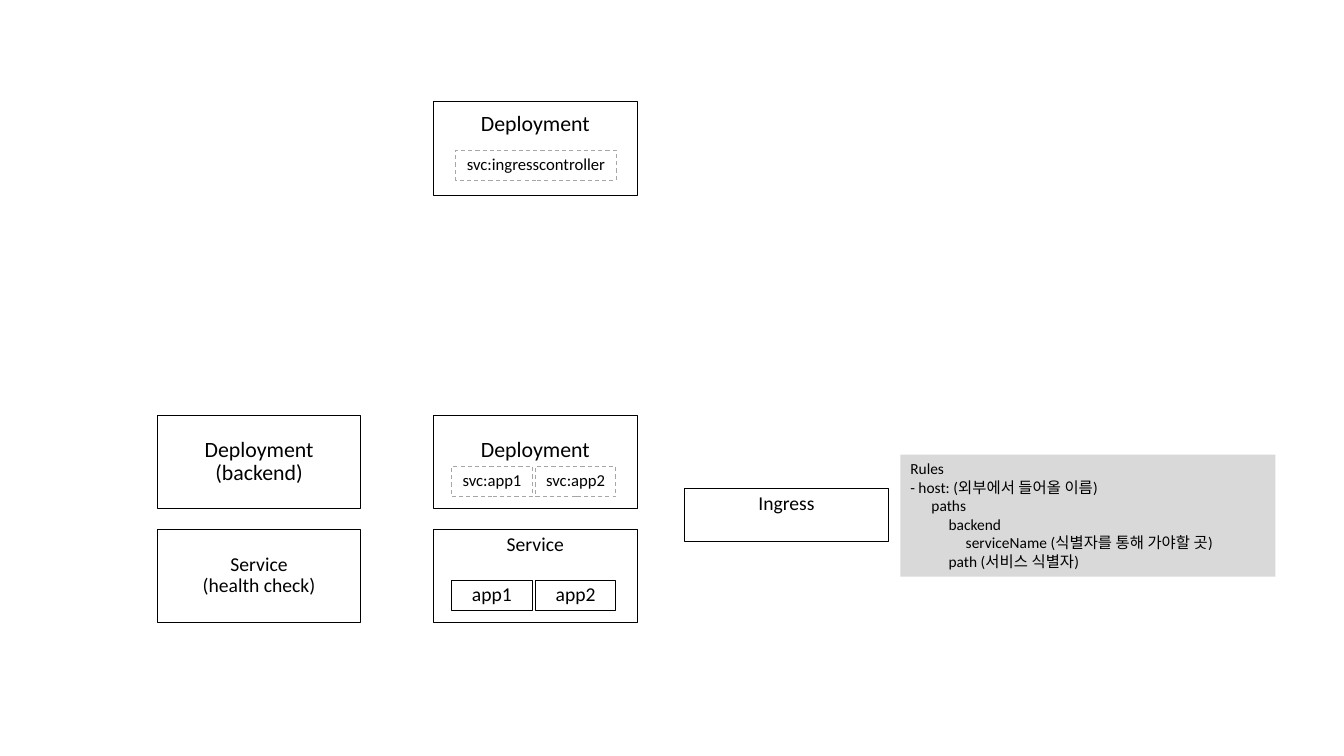
from pptx import Presentation
from pptx import util as u
from pptx.dml.color import RGBColor
from pptx.enum import dml, shapes, text

THEME = {
    "font": "Calibri",
    "ink": RGBColor(0x00, 0x00, 0x00),
    "dashed": RGBColor(0xA6, 0xA6, 0xA6),
    "panel": RGBColor(0xD9, 0xD9, 0xD9),
    "deployment": 15.6,
    "service": 14,
    "label": 11.9,
    "rules": 11,
}
TOP, MIDDLE = text.MSO_ANCHOR.TOP, text.MSO_ANCHOR.MIDDLE

# Grid in inches: columns from the left, rows from the top
BACKEND, APPS, INGRESS, RULES = 1.56, 4.3, 6.79, 8.93
CONTROLLER_ROW, DEPLOYMENT_ROW, SERVICE_ROW = 1.01, 4.12, 5.25
BOX_WIDTH, BOX_HEIGHT = 2.02, 0.93
APP_LEFT, APP_PITCH, APP_WIDTH, APP_HEIGHT = APPS + 0.18, 0.83, 0.8, 0.3

presentation = Presentation()
presentation.slide_width = u.Inches(13.33)
presentation.slide_height = u.Inches(7.5)
slide = presentation.slides.add_slide(presentation.slide_layouts[6])


def add_box(place, wording, size, anchor=MIDDLE, spacing=0.9, bottom=0.05, side=0.1):
    """Add a plain rectangle with centred text."""
    shape = slide.shapes.add_shape(
        shapes.MSO_SHAPE.RECTANGLE, *[u.Inches(length) for length in place])
    shape.shadow.inherit = False
    shape.fill.background()
    shape.line.color.rgb = THEME["ink"]
    shape.line.width = u.Pt(0.75)
    frame = shape.text_frame
    frame.word_wrap = True
    frame.vertical_anchor = anchor
    frame.margin_bottom = u.Inches(bottom)
    frame.margin_left = frame.margin_right = u.Inches(side)
    frame.text = wording
    for paragraph in frame.paragraphs:
        paragraph.alignment = text.PP_ALIGN.CENTER
        paragraph.line_spacing = spacing
        for run in paragraph.runs:
            run.font.name = THEME["font"]
            run.font.size = u.Pt(THEME[size])
            run.font.color.rgb = THEME["ink"]
    return shape


def add_label(left, top, width, wording):
    """Add a dashed service label."""
    shape = add_box((left, top, width, APP_HEIGHT), wording, "label",
                    spacing=0.8, side=0.05)
    shape.line.color.rgb = THEME["dashed"]
    shape.line.dash_style = dml.MSO_LINE.DASH


# Deployments and services; a deeper bottom margin leaves room for labels
for left, top, wording, size, anchor, bottom in [
    (BACKEND, SERVICE_ROW, "Service\v(health check)", "service", MIDDLE, 0.05),
    (BACKEND, DEPLOYMENT_ROW, "Deployment\n(backend)", "deployment", MIDDLE, 0.05),
    (APPS, SERVICE_ROW, "Service", "service", TOP, 0.05),
    (APPS, DEPLOYMENT_ROW, "Deployment", "deployment", MIDDLE, 0.28),
    (APPS, CONTROLLER_ROW, "Deployment", "deployment", MIDDLE, 0.53),
]:
    add_box((left, top, BOX_WIDTH, BOX_HEIGHT), wording, size, anchor, bottom=bottom)

# Apps inside the deployment and the service
for index, app in enumerate(["app1", "app2"]):
    left = APP_LEFT + index * APP_PITCH
    add_label(left, DEPLOYMENT_ROW + 0.51, APP_WIDTH, f"svc:{app}")
    add_box((left, SERVICE_ROW + 0.51, APP_WIDTH, APP_HEIGHT), app, "service",
            spacing=0.8)

# Ingress controller label
add_label(APPS + 0.22, CONTROLLER_ROW + 0.48, 1.59, "svc:ingresscontroller")

# Ingress
add_box((INGRESS, 4.85, BOX_WIDTH, 0.52), "Ingress", "service", TOP)

# Ingress rules, indented by level
rules = [
    ("Rules", 0),
    ("- host: (외부에서 들어올 이름)", 0),
    ("paths", 0.21),
    ("backend", 0.38),
    ("serviceName (식별자를 통해 가야할 곳)", 0.55),
    ("path (서비스 식별자)", 0.38),
]
panel = add_box((RULES, 4.51, 3.72, 1.21), "\n".join(line for line, _ in rules),
                "rules", TOP, spacing=1.0)
panel.fill.solid()
panel.fill.fore_color.rgb = THEME["panel"]
panel.line.fill.background()
for paragraph, (_, indent) in zip(panel.text_frame.paragraphs, rules):
    paragraph.alignment = text.PP_ALIGN.LEFT
    paragraph._p.get_or_add_pPr().set("marL", str(u.Inches(indent)))

presentation.save("out.pptx")
